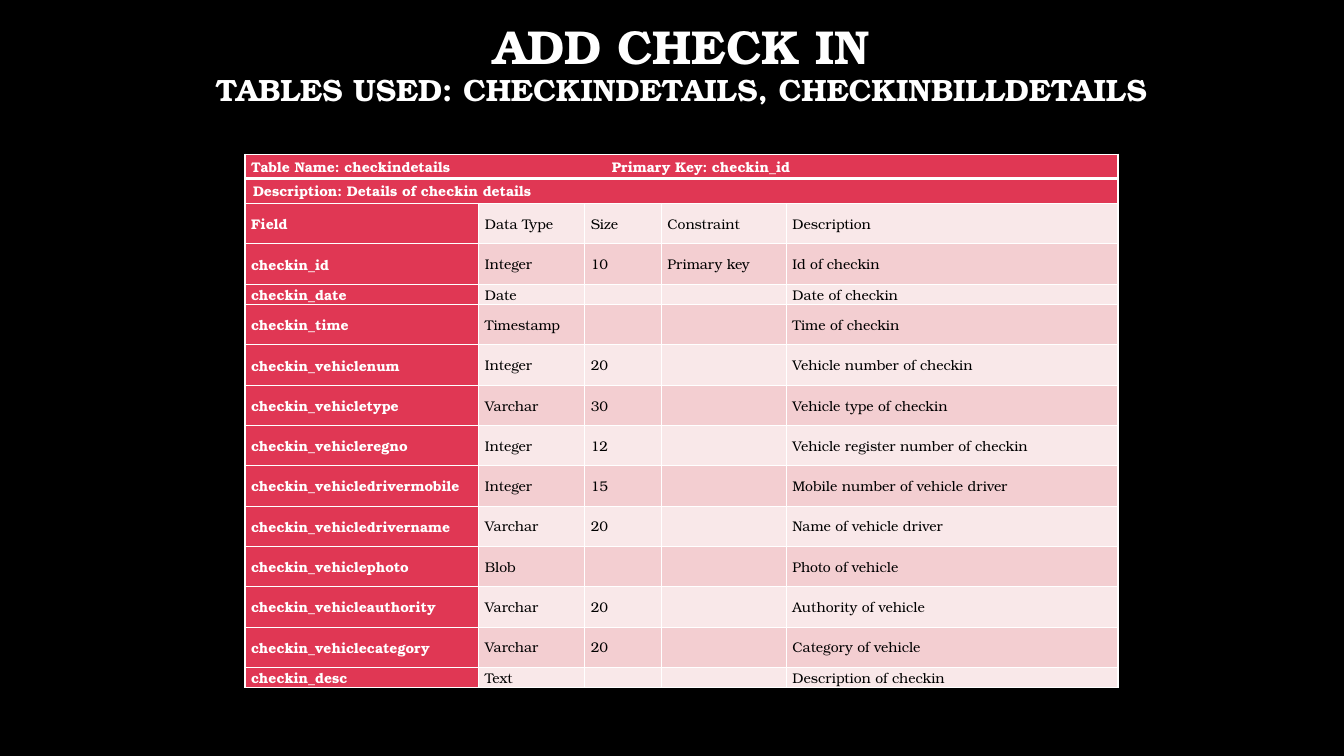
from typing import NamedTuple

from lxml import etree
from pptx import Presentation
from pptx.dml.color import RGBColor
from pptx.enum.text import MSO_ANCHOR, MSO_AUTO_SIZE, PP_ALIGN
from pptx.oxml.ns import qn
from pptx.util import Inches, Pt

MIDDLE, TOP = MSO_ANCHOR.MIDDLE, MSO_ANCHOR.TOP
CENTER = PP_ALIGN.CENTER
NO_AUTO_SIZE = MSO_AUTO_SIZE.NONE

BLACK = RGBColor(0x00, 0x00, 0x00)
WHITE = RGBColor(0xFF, 0xFF, 0xFF)
RED = RGBColor(0xE0, 0x37, 0x54)
PALE_PINK = RGBColor(0xF9, 0xE8, 0xE9)
PINK = RGBColor(0xF3, 0xCE, 0xD1)

FONT = "TeX Gyre Bonum"
CELL_SIZE = 10
THIN, THICK = 1, 3
PRIMARY_KEY_TAB = 3.58
DESCRIPTION_INDENT = 0.02
TABLE_LEFT, TABLE_TOP = 2.43, 1.53
COLUMN_WIDTHS = (2.32, 1.05, 0.76, 1.24, 3.29)


class Field(NamedTuple):
    name: str
    data_type: str
    size: str
    constraint: str
    description: str


class Banner(NamedTuple):
    text: str
    height: float


BANNERS = (
    Banner("Table Name: checkindetails\tPrimary Key: checkin_id", 0.24),
    Banner("Description: Details of checkin details", 0.25),
)
FIELDS = (
    Field("Field", "Data Type", "Size", "Constraint", "Description"),
    Field("checkin_id", "Integer", "10", "Primary key", "Id of checkin"),
    Field("checkin_date", "Date", "", "", "Date of checkin"),
    Field("checkin_time", "Timestamp", "", "", "Time of checkin"),
    Field("checkin_vehiclenum", "Integer", "20", "", "Vehicle number of checkin"),
    Field("checkin_vehicletype", "Varchar", "30", "", "Vehicle type of checkin"),
    Field("checkin_vehicleregno", "Integer", "12", "", "Vehicle register number of checkin"),
    Field("checkin_vehicledrivermobile", "Integer", "15", "", "Mobile number of vehicle driver"),
    Field("checkin_vehicledrivername", "Varchar", "20", "", "Name of vehicle driver"),
    Field("checkin_vehiclephoto", "Blob", "", "", "Photo of vehicle"),
    Field("checkin_vehicleauthority", "Varchar", "20", "", "Authority of vehicle"),
    Field("checkin_vehiclecategory", "Varchar", "20", "", "Category of vehicle"),
    Field("checkin_desc", "Text", "", "", "Description of checkin"),
)
FIELD_HEIGHT, SHORT_HEIGHT = 0.4, 0.2
SHORT_FIELDS = ("checkin_date", "checkin_desc")


def add_text(paragraph, text: str, *, size: float, color: RGBColor, bold: bool = False) -> None:
    run = paragraph.add_run()
    run.text = text
    run.font.name = FONT
    run.font.size = Pt(size)
    run.font.bold = bold
    run.font.color.rgb = color


def set_borders(cell, *, top: float = THIN, bottom: float = THIN) -> None:
    """Draw white borders; call before filling, since lines precede the fill in XML."""
    properties = cell._tc.get_or_add_tcPr()
    for side, width in (("L", THIN), ("R", THIN), ("T", top), ("B", bottom)):
        line = etree.SubElement(properties, qn(f"a:ln{side}"), w=str(Pt(width)))
        fill = etree.SubElement(line, qn("a:solidFill"))
        etree.SubElement(fill, qn("a:srgbClr"), val=str(WHITE))


def fill_cell(cell, text: str, *, fill: RGBColor, color: RGBColor, bold: bool) -> None:
    cell.fill.solid()
    cell.fill.fore_color.rgb = fill
    cell.vertical_anchor = MIDDLE
    cell.margin_left = cell.margin_right = Inches(0.06)
    cell.margin_top = cell.margin_bottom = 0
    paragraph = cell.text_frame.paragraphs[0]
    if text:
        add_text(paragraph, text, size=CELL_SIZE, color=color, bold=bold)
    else:
        # An empty cell needs its own text size, or it stretches a short row.
        etree.SubElement(paragraph._p, qn("a:endParaRPr"), sz=str(CELL_SIZE * 100))


def add_title(slide, width: int, height: int) -> None:
    title = slide.shapes.title
    title.left, title.top = round(width * 0.0825), round(height * 0.027)
    title.width, title.height = round(width * 0.849), round(height * 0.193)
    frame = title.text_frame
    frame.word_wrap = True
    frame.auto_size = NO_AUTO_SIZE
    frame.vertical_anchor = TOP
    frame.margin_top = Inches(0.03)
    paragraph = frame.paragraphs[0]
    paragraph.alignment = CENTER
    paragraph.line_spacing = 0.9
    add_text(paragraph, "ADD CHECK IN", size=34, color=WHITE, bold=True)
    paragraph.add_line_break()
    add_text(paragraph, "TABLES USED: CHECKINDETAILS, CHECKINBILLDETAILS",
             size=22, color=WHITE, bold=True)


def add_banners(table) -> None:
    last_column = len(COLUMN_WIDTHS) - 1
    for row, banner in enumerate(BANNERS):
        table.rows[row].height = Inches(banner.height)
        for column in range(len(COLUMN_WIDTHS)):
            set_borders(table.cell(row, column), top=THICK if row else THIN,
                        bottom=THIN if row else THICK)
        cell = table.cell(row, 0)
        cell.merge(table.cell(row, last_column))
        properties = cell.text_frame.paragraphs[0]._p.get_or_add_pPr()
        if "\t" in banner.text:
            tabs = etree.SubElement(properties, qn("a:tabLst"))
            etree.SubElement(tabs, qn("a:tab"), pos=str(Inches(PRIMARY_KEY_TAB)), algn="l")
        else:
            properties.set("indent", str(Inches(DESCRIPTION_INDENT)))
        fill_cell(cell, banner.text, fill=RED, color=WHITE, bold=True)


def add_fields(table) -> None:
    for index, field in enumerate(FIELDS):
        row = index + len(BANNERS)
        height = SHORT_HEIGHT if field.name in SHORT_FIELDS else FIELD_HEIGHT
        table.rows[row].height = Inches(height)
        band = PINK if index % 2 else PALE_PINK
        for column, text in enumerate(field):
            cell = table.cell(row, column)
            is_name = column == 0
            set_borders(cell)
            fill_cell(cell, text, fill=RED if is_name else band,
                      color=WHITE if is_name else BLACK, bold=is_name)


def add_field_table(slide) -> None:
    table = slide.shapes.add_table(
        len(BANNERS) + len(FIELDS), len(COLUMN_WIDTHS), Inches(TABLE_LEFT), Inches(TABLE_TOP),
        Inches(sum(COLUMN_WIDTHS)), Inches(5.27)).table
    table.first_row = table.horz_banding = False
    for column, width in zip(table.columns, COLUMN_WIDTHS):
        column.width = Inches(width)
    add_banners(table)
    add_fields(table)


def main() -> None:
    presentation = Presentation()
    presentation.slide_width, presentation.slide_height = Inches(13.33), Inches(7.5)
    slide = presentation.slides.add_slide(presentation.slide_layouts[5])
    slide.background.fill.solid()
    slide.background.fill.fore_color.rgb = BLACK
    add_title(slide, presentation.slide_width, presentation.slide_height)
    add_field_table(slide)
    presentation.save("out.pptx")


if __name__ == "__main__":
    main()
